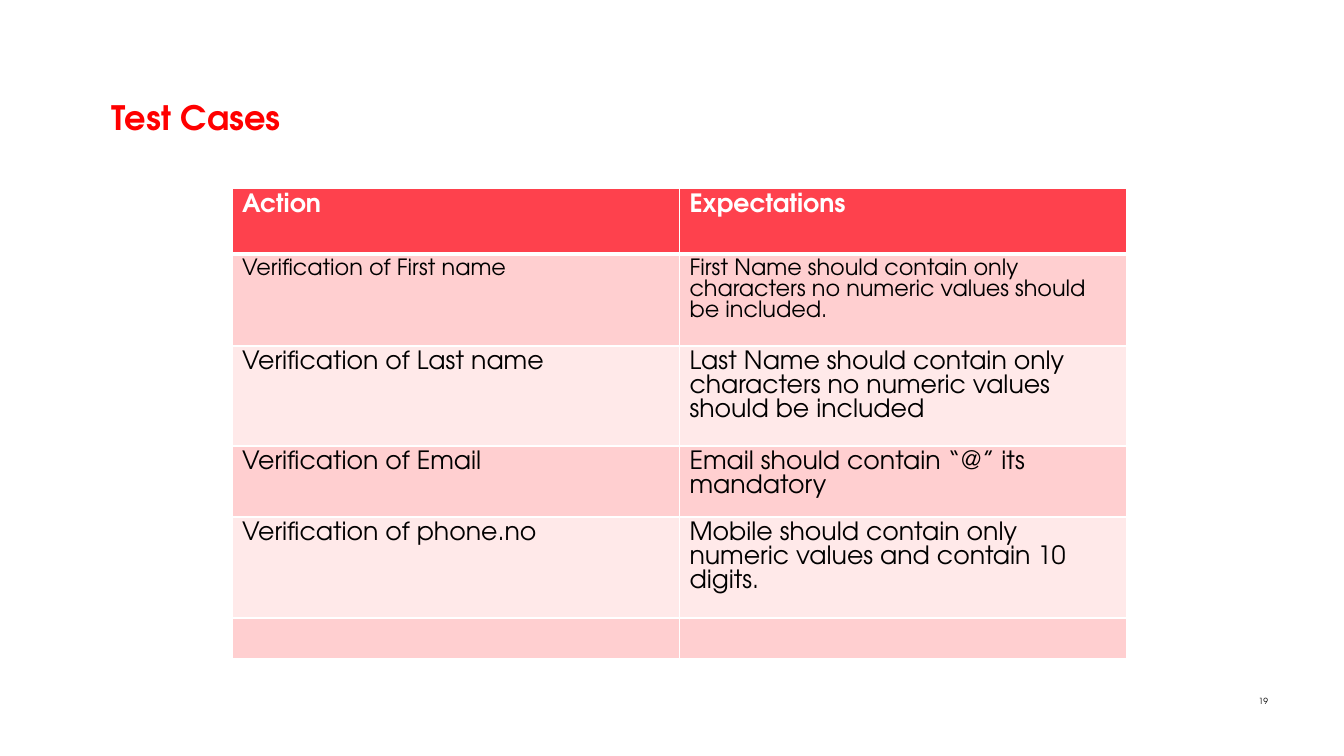
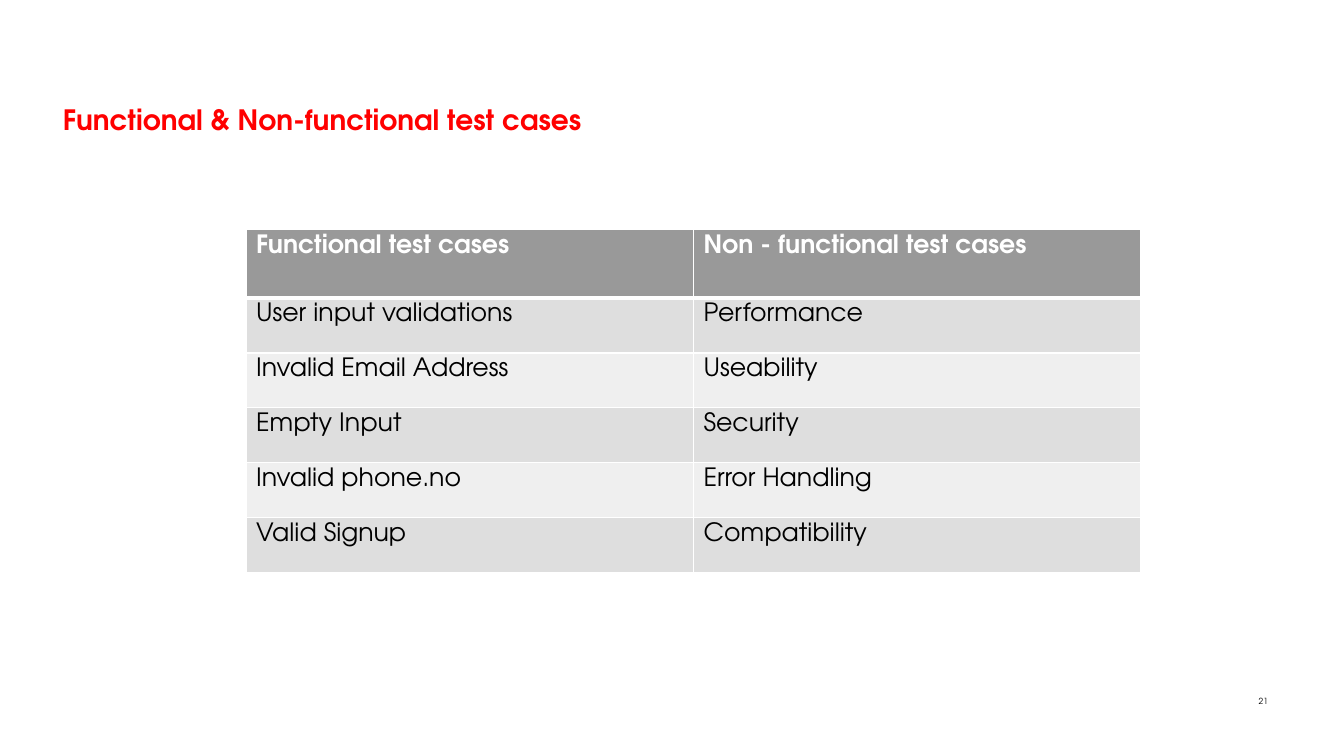
from pptx import Presentation
from pptx.dml.color import RGBColor as RGB
from pptx.enum.text import MSO_ANCHOR as Anchor, PP_ALIGN as Align
from pptx.oxml.ns import qn
from pptx.util import Pt
from lxml.etree import SubElement as Sub

PX = 914400 / 100.8
FONT = "TeX Gyre Adventor"
C = {"title": "FF0000", "text": "000000", "white": "FFFFFF"}
# Table themes: header, odd rows, even rows
RED = {"head": "FE414D", "odd": "FFCFD0", "even": "FFE9E9"}
GREY = {"head": "999999", "odd": "DEDEDE", "even": "EFEFEF"}


def px(n):
    return round(n * PX)


def style(p, size, color, bold=False):
    f = p.font
    f.name, f.size, f.bold = FONT, Pt(size), bold
    f.color.rgb = RGB.from_string(C[color])


def add_text(s, box, text, size, color, bold=False):
    tf = s.shapes.add_textbox(*map(px, box)).text_frame
    tf.word_wrap = True
    p = tf.paragraphs[0]
    p.text = text
    style(p, size, color, bold)
    return tf


def add_number(s, box, number):
    tf = add_text(s, box, str(number), 6, "text")
    tf.margin_left = tf.margin_right = tf.margin_top = tf.margin_bottom = 0
    tf.vertical_anchor = Anchor.MIDDLE
    tf.paragraphs[0].alignment = Align.RIGHT


def add_borders(cell, top, bottom):
    widths = {"lnL": 1, "lnR": 1, "lnT": top, "lnB": bottom}
    for tag, width in widths.items():
        ln = Sub(cell._tc.get_or_add_tcPr(), qn(f"a:{tag}"), w=str(Pt(width)))
        Sub(Sub(ln, qn("a:solidFill")), qn("a:srgbClr"), val=C["white"])


def add_grid(s, left, top, width, heights, rows, theme, sizes):
    """Two-column table with a header row and banded body rows."""
    cols = len(rows[0])
    tbl = s.shapes.add_table(len(rows), cols, px(left), px(top),
                             px(width), px(sum(heights))).table
    for col in tbl.columns:
        col.width = px(width / cols)
    for i, (row, height, size) in enumerate(zip(rows, heights, sizes)):
        tbl.rows[i].height = px(height)
        band = "head" if i == 0 else "odd" if i % 2 else "even"
        for j, text in enumerate(row):
            cell = tbl.cell(i, j)
            add_borders(cell, 3 if i == 1 else 1, 3 if i == 0 else 1)
            cell.fill.solid()
            cell.fill.fore_color.rgb = RGB.from_string(theme[band])
            p = cell.text_frame.paragraphs[0]
            p.text = text
            p.line_spacing = Pt(size - 1)
            style(p, size, "white" if i == 0 else "text", i == 0)


def add_slide(prs, number, title, title_box, title_size):
    s = prs.slides.add_slide(prs.slide_layouts[6])
    add_number(s, (1238, 696, 30, 10), number)
    add_text(s, title_box, title, title_size, "title", True)
    return s


def test_cases(prs):
    s = add_slide(prs, 19, "Test Cases", (102, 92, 283, 50), 24)
    rows = [
        ("Action", "Expectations"),
        ("Verification of First name",
         "First Name should contain only characters no numeric values should be included."),
        ("Verification of Last name",
         "Last Name should contain only characters no numeric values should be included"),
        ("Verification of Email", "Email should contain “@” its mandatory"),
        ("Verification of phone.no",
         "Mobile should contain only numeric values and contain 10 digits."),
        ("", ""),
    ]
    add_grid(s, 232, 188, 895, [66, 92, 100, 71, 101, 40], rows, RED,
             [18, 16, 18, 18, 18, 18])


def functional_cases(prs):
    s = add_slide(prs, 21, "Functional & Non-functional test cases",
                  (53, 98, 574, 44), 20)
    rows = [
        ("Functional test cases", "Non - functional test cases"),
        ("User input validations", "Performance"),
        ("Invalid Email Address", "Useability"),
        ("Empty Input", "Security"),
        ("Invalid phone.no", "Error Handling"),
        ("Valid Signup", "Compatibility"),
    ]
    add_grid(s, 246, 229, 895, [69] + [55] * 5, rows, GREY, [18] * 6)


def main():
    prs = Presentation()
    prs.slide_width, prs.slide_height = px(1344), px(756)
    test_cases(prs)
    functional_cases(prs)
    prs.save("out.pptx")


if __name__ == "__main__":
    main()
